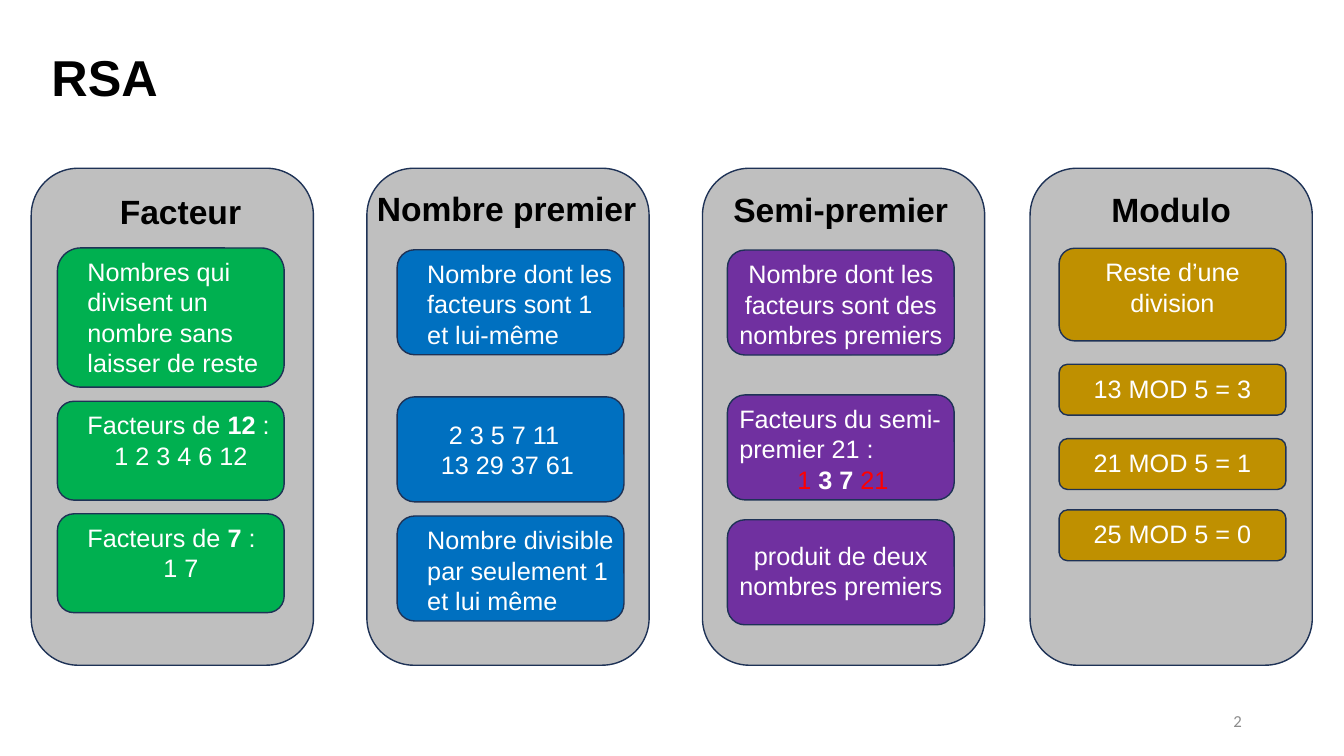
from pptx import Presentation
from pptx.dml.color import RGBColor
from pptx.enum.shapes import MSO_SHAPE as Preset
from pptx.enum.text import MSO_ANCHOR as Anchor, PP_ALIGN as Align
from pptx.util import Pt

BLACK = RGBColor(0x00, 0x00, 0x00)
WHITE = RGBColor(0xFF, 0xFF, 0xFF)
RED = RGBColor(0xFF, 0x00, 0x00)
GREY = RGBColor(0xBF, 0xBF, 0xBF)
NUMBER_GREY = RGBColor(0x8C, 0x8C, 0x8C)
NAVY = RGBColor(0x1E, 0x32, 0x56)
GREEN = RGBColor(0x00, 0xB0, 0x50)
BLUE = RGBColor(0x00, 0x70, 0xC0)
PURPLE = RGBColor(0x70, 0x30, 0xA0)
GOLD = RGBColor(0xBF, 0x90, 0x00)
LEFT, CENTER, RIGHT = Align.LEFT, Align.CENTER, Align.RIGHT

TITLE = "RSA"
SLIDE_NUMBER = "2"

# Heading: text, left, top, width, alignment.
# Card: top, height, text inset from left, text inset from top, text lines, paragraphs.
# Paragraph: alignment, then runs of (text, bold, colour).
COLUMNS = [
    {"left": 22.3, "card_left": 41, "fill": GREEN,
     "heading": ("Facteur", 78.5, 132.5, 108, LEFT),
     "cards": [
         (177.1, 99.4, 14.4, 2.6, 4,
          [(LEFT, [("Nombres qui divisent un nombre sans laisser de reste", False, WHITE)])]),
         (286.6, 70.6, 14.4, 2.6, 2,
          [(LEFT, [("Facteurs de ", False, WHITE), ("12", True, WHITE), (" :", False, WHITE)]),
           (CENTER, [("1 2 3 4 6 12", False, WHITE)])]),
         (367, 70.6, 14.4, 2.6, 2,
          [(LEFT, [("Facteurs de ", False, WHITE), ("7", True, WHITE), (" :", False, WHITE)]),
           (CENTER, [("1 7", False, WHITE)])]),
     ]},
    {"left": 262.1, "card_left": 283.7, "fill": BLUE,
     "heading": ("Nombre premier", 262.1, 130.5, 201.6, LEFT),
     "cards": [
         (178.4, 75, 14.4, 2.6, 3,
          [(LEFT, [("Nombre dont les facteurs sont 1 et lui-même", False, WHITE)])]),
         (283.5, 75, 5, 12.2, 2,
          [(CENTER, [("2 3 5 7 11 ", False, WHITE)]),
           (CENTER, [("13 29 37 61", False, WHITE)])]),
         (368.6, 75, 14.4, 2.6, 3,
          [(LEFT, [("Nombre divisible par seulement 1 et lui même", False, WHITE)])]),
     ]},
    {"left": 501.8, "card_left": 519.6, "fill": PURPLE,
     "heading": ("Semi-premier", 499.7, 131.5, 201.6, CENTER),
     "cards": [
         (178.6, 75, 0, 2.6, 3,
          [(CENTER, [("Nombre dont les facteurs sont des nombres premiers", False, WHITE)])]),
         (282.1, 75, 1.4, 2.6, 3,
          [(LEFT, [("Facteurs du semi-premier 21 :", False, WHITE)]),
           (CENTER, [("1 ", False, RED), ("3 7 ", True, WHITE), ("21", False, RED)])]),
         (371.3, 75, 0, 11, 2,
          [(CENTER, [("produit de deux nombres premiers", False, WHITE)])]),
     ]},
    {"left": 735.8, "card_left": 756.5, "fill": GOLD,
     "heading": ("Modulo", 735.8, 131.5, 201.6, CENTER),
     "cards": [
         (177.3, 66.2, 0, 2.6, 2, [(CENTER, [("Reste d’une division", False, WHITE)])]),
         (260.2, 36.3, 0, 2.6, 1, [(CENTER, [("13 MOD 5 = 3", False, WHITE)])]),
         (313.3, 36.3, 0, 2.6, 1, [(CENTER, [("21 MOD 5 = 1", False, WHITE)])]),
         (364.2, 36.3, 0, 2.6, 1, [(CENTER, [("25 MOD 5 = 0", False, WHITE)])]),
     ]},
]

PANEL_TOP, PANEL_WIDTH, PANEL_HEIGHT = 120.2, 201.6, 355
CARD_WIDTH, TEXT_WIDTH = 162, 147.6
LINE_HEIGHT, MARGINS = 21.8, 7.2


def write(frame, paragraphs, size, font="Arial"):
    frame.word_wrap = True
    for index, (alignment, runs) in enumerate(paragraphs):
        paragraph = frame.paragraphs[0] if index == 0 else frame.add_paragraph()
        paragraph.alignment = alignment
        for text, bold, colour in runs:
            run = paragraph.add_run()
            run.text = text
            run.font.name = font
            run.font.size = Pt(size)
            run.font.bold = bold
            run.font.color.rgb = colour


def add_text(shapes, box, paragraphs, size, font="Arial"):
    frame = shapes.add_textbox(*map(Pt, box)).text_frame
    write(frame, paragraphs, size, font)
    return frame


def add_rounded(shapes, box, fill):
    shape = shapes.add_shape(Preset.ROUNDED_RECTANGLE, *map(Pt, box))
    shape.shadow.inherit = False
    shape.fill.solid()
    shape.fill.fore_color.rgb = fill
    shape.line.color.rgb = NAVY
    shape.line.width = Pt(1)


def add_column(slide, column):
    """Add a grey panel, its heading and its cards, each card grouped with its text."""
    add_rounded(slide.shapes, (column["left"], PANEL_TOP, PANEL_WIDTH, PANEL_HEIGHT), GREY)
    text, left, top, width, alignment = column["heading"]
    add_text(slide.shapes, (left, top, width, 36), [(alignment, [(text, True, BLACK)])], 24)
    left = column["card_left"]
    for top, height, inset_x, inset_y, lines, paragraphs in column["cards"]:
        card = slide.shapes.add_group_shape()
        add_rounded(card.shapes, (left, top, CARD_WIDTH, height), column["fill"])
        width = TEXT_WIDTH if inset_x > 2 else CARD_WIDTH
        box = (left + inset_x, top + inset_y, width, lines * LINE_HEIGHT + MARGINS)
        add_text(card.shapes, box, paragraphs, 18)


def main():
    presentation = Presentation()
    presentation.slide_width, presentation.slide_height = Pt(960), Pt(540)
    slide = presentation.slides.add_slide(presentation.slide_layouts[5])

    title = slide.shapes.title
    title.left, title.top, title.width, title.height = map(Pt, (29.5, 28.8, 108, 51))
    write(title.text_frame, [(LEFT, [(TITLE, True, BLACK)])], 36)

    for column in COLUMNS:
        add_column(slide, column)

    number = add_text(slide.shapes, (678.2, 500.4, 216, 28.8),
                      [(RIGHT, [(SLIDE_NUMBER, False, NUMBER_GREY)])], 12, "Calibri")
    number.vertical_anchor = Anchor.MIDDLE
    presentation.save("out.pptx")


if __name__ == "__main__":
    main()
